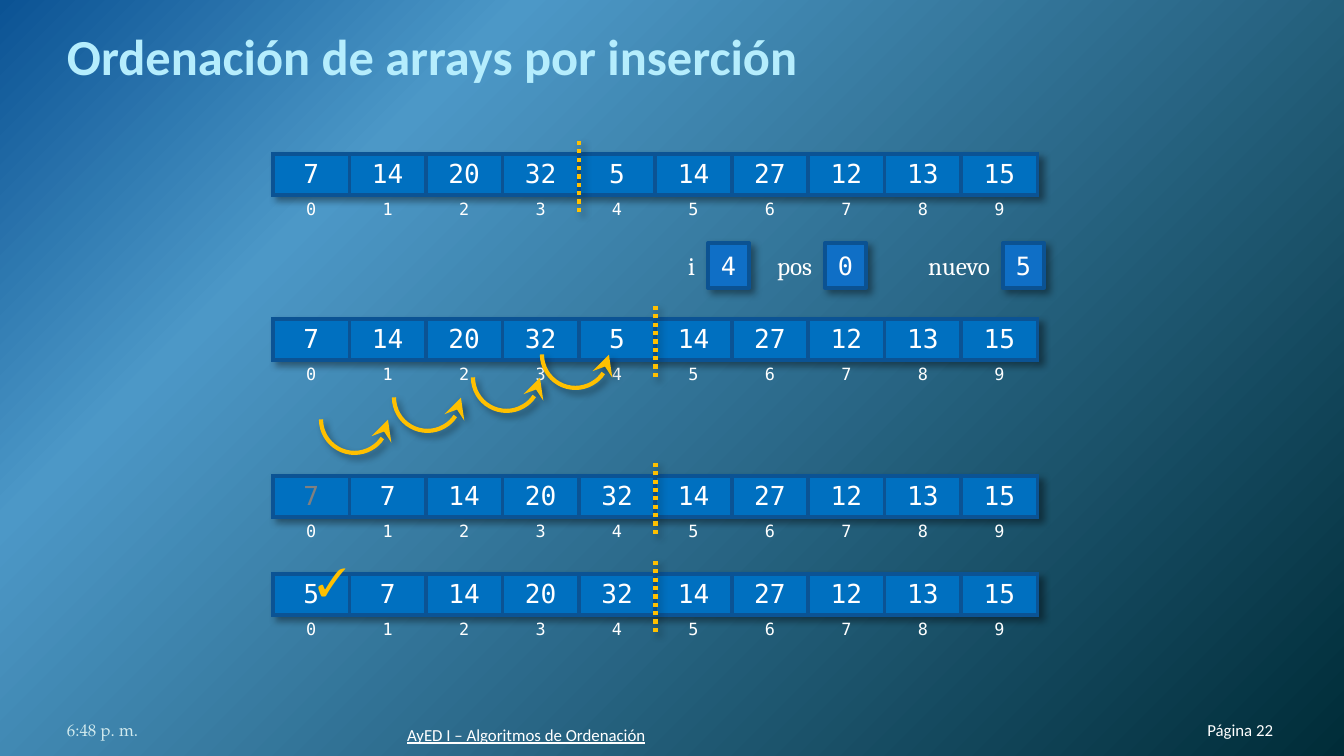
import dataclasses
import copy
import typing
import pptx
import pptx.dml.color
import pptx.enum.dml
import pptx.enum.shapes
import pptx.enum.text
import pptx.oxml
import pptx.oxml.ns
import pptx.util

Align = pptx.enum.text.PP_ALIGN
Anchor = pptx.enum.text.MSO_ANCHOR
Kind = pptx.enum.shapes.MSO_SHAPE
Box = tuple[int, int, int, int]


@dataclasses.dataclass(frozen=True)
class Theme:
    sans: str = "Calibri"
    serif: str = "Cambria"
    mono: str = "DejaVu Sans Mono"
    old: str = "TeX Gyre Pagella"
    white: str = "FFFFFF"
    title: str = "B5EDFD"
    date: str = "D1EAEE"
    gold: str = "FFC000"
    gray: str = "808080"
    cell: str = "0070C0"
    edge: str = "0B5394"
    box: str = "0F6FC6"
    rim: str = "0B5292"
    stops: tuple = ((0, "0B5394"), (0.25, "4C98C7"), (1, "002C38"))
    head: float = 27
    tick: float = 21
    value: float = 14
    name: float = 13.5
    small: float = 9
    rule: float = 2.25


@dataclasses.dataclass(frozen=True)
class Array:
    top: int
    split: int
    values: str
    stale: int = -1


@dataclasses.dataclass(frozen=True)
class Var:
    name: str
    value: str
    left: int
    width: int


@dataclasses.dataclass(frozen=True)
class Note:
    text: str
    box: Box
    font: str
    color: str
    align: typing.Any = Align.LEFT
    under: bool = False


T = Theme()
LEFT, WIDE, COUNT = 273, 765, 10
ROWS = (41, 32)
ARRAYS = (
    Array(154, 4, "7 14 20 32 5 14 27 12 13 15"),
    Array(319, 5, "7 14 20 32 5 14 27 12 13 15"),
    Array(476, 5, "7 7 14 20 32 14 27 12 13 15", 0),
    Array(574, 5, "5 7 14 20 32 14 27 12 13 15"),
)
VARS = (Var("nuevo", "5", 910, 93), Var("pos", "0", 759, 66), Var("i", "4", 675, 33))
ARCS = ((542, 321), (473, 344), (394, 364), (321, 386))
NOTES = (
    Note("Página 22", (1141, 700, 132, 40), T.sans, T.white, Align.RIGHT),
    Note("6:48 p. m.", (67, 700, 313, 40), T.old, T.date),
    Note("AyED I – Algoritmos de Ordenación", (407, 705, 508, 40), T.sans, T.white, under=True),
)


def px(n: float) -> int:
    return round(n * 914400 / 134.4)


def rgb(code: str) -> pptx.dml.color.RGBColor:
    return pptx.dml.color.RGBColor.from_string(code)


def xml(tag: str, attrs: str = "", inner: str = "") -> typing.Any:
    space = pptx.oxml.ns.nsdecls("a")
    return pptx.oxml.parse_xml(f"<a:{tag} {space} {attrs}>{inner}</a:{tag}>")


def shade() -> typing.Any:
    tint = '<a:srgbClr val="000000"><a:alpha val="40000"/></a:srgbClr>'
    return xml("effectLst", "", '<a:outerShdw blurRad="50800" dist="38100" dir="2700000" '
               f'algn="tl" rotWithShape="0">{tint}</a:outerShdw>')


def write(frame: typing.Any, text: str, font: str, size: float, color: str,
          align: typing.Any = Align.LEFT, bold: bool = False, under: bool = False) -> None:
    frame.text = text
    para = frame.paragraphs[0]
    para.alignment = align
    face = para.font
    face.name, face.size, face.bold = font, pptx.util.Pt(size), bold
    face.underline = under
    face.color.rgb = rgb(color)


def inset(frame: typing.Any, left: int, top: int, right: int, low: int) -> None:
    frame.margin_left, frame.margin_top = px(left), px(top)
    frame.margin_right, frame.margin_bottom = px(right), px(low)


def label(shapes: typing.Any, box: Box) -> typing.Any:
    frame = shapes.add_textbox(*map(px, box)).text_frame
    frame.word_wrap = True
    return frame


def stroke(line: typing.Any, color: str, width: float) -> None:
    line.color.rgb = rgb(color)
    line.width = pptx.util.Pt(width)


def border(cell: typing.Any, sides: str) -> None:
    props = cell._tc.get_or_add_tcPr()
    ink = f'<a:solidFill><a:srgbClr val="{T.edge}"/></a:solidFill>'
    for spot, side in enumerate(sides):
        props.insert(spot, xml(f"ln{side}", f'w="{pptx.util.Pt(T.rule)}"', ink))


def draw_array(shapes: typing.Any, item: Array) -> None:
    frame = shapes.add_table(2, COUNT, px(LEFT), px(item.top), px(WIDE), px(sum(ROWS)))
    table = frame.table
    props = table._tbl.tblPr
    props.find(pptx.oxml.ns.qn("a:tableStyleId")).text = "{2D5ABB26-0587-4C30-8999-92F81FD0307C}"
    props.insert(0, shade())
    for row, height in zip(table.rows, ROWS):
        row.height = px(height)
    for col, value in enumerate(item.values.split()):
        top, low = table.cell(0, col), table.cell(1, col)
        color = T.gray if col == item.stale else T.white
        write(top.text_frame, value, T.mono, T.value, color, Align.CENTER)
        write(low.text_frame, str(col), T.mono, T.small, T.white, Align.CENTER)
        for cell in (top, low):
            inset(cell, 10, 5, 10, 5)
        top.fill.solid()
        top.fill.fore_color.rgb = rgb(T.cell)
        low.fill.background()
        border(top, "LRTB")
        border(low, "T")
    x = px(LEFT + WIDE * item.split / COUNT)
    mark = shapes.add_connector(pptx.enum.shapes.MSO_CONNECTOR.STRAIGHT,
                                x, px(item.top + 58), x, px(item.top - 14))
    stroke(mark.line, T.gold, T.rule)
    mark.line.dash_style = pptx.enum.dml.MSO_LINE.ROUND_DOT
    mark.element.spPr.append(shade())


def draw_var(shapes: typing.Any, item: Var) -> None:
    group = shapes.add_group_shape().shapes
    box = group.add_shape(Kind.RECTANGLE, *map(px, (item.left + item.width, 243, 41, 45)))
    box.fill.solid()
    box.fill.fore_color.rgb = rgb(T.box)
    stroke(box.line, T.rim, 2)
    box.element.spPr.append(shade())
    frame = box.text_frame
    frame.word_wrap = False
    write(frame, item.value, T.mono, T.name, T.white, Align.CENTER)
    frame = label(group, (item.left, 243, item.width, 45))
    inset(frame, 0, 7, 13, 7)
    write(frame, item.name, T.serif, T.name, T.white, Align.RIGHT)


def draw_arc(shapes: typing.Any, left: int, top: int) -> None:
    arc = shapes.add_shape(Kind.ARC, *map(px, (left, top, 67, 67)))
    arc.adjustments[0], arc.adjustments[1] = 162, 53.776
    arc.rotation = 270
    arc.element.spPr.xfrm.set("flipH", "1")
    arc.fill.background()
    stroke(arc.line, T.gold, T.rule)
    arc.line._get_or_add_ln().append(xml("tailEnd", 'type="stealth" w="lg" len="lg"'))
    arc.element.spPr.append(shade())


def draw_note(shapes: typing.Any, item: Note) -> None:
    frame = label(shapes, item.box)
    inset(frame, 0, 0, 0, 0)
    frame.vertical_anchor = Anchor.BOTTOM
    write(frame, item.text, item.font, T.small, item.color, item.align, under=item.under)


def paint(slide: typing.Any) -> None:
    fill = slide.background.fill
    fill.gradient()
    fill.gradient_angle = 315
    first = next(slide.element.iter(pptx.oxml.ns.qn("a:gs")))
    first.addnext(copy.deepcopy(first))
    for stop, (place, color) in zip(fill.gradient_stops, T.stops):
        stop.position = place
        stop.color.rgb = rgb(color)


def main() -> None:
    deck = pptx.Presentation()
    deck.slide_width, deck.slide_height = px(1344), px(756)
    slide = deck.slides.add_slide(deck.slide_layouts[5])
    paint(slide)
    shapes = slide.shapes
    title = shapes.title
    title.left, title.top, title.width, title.height = map(px, (67, 31, 1210, 55))
    frame = title.text_frame
    frame.auto_size = pptx.enum.text.MSO_AUTO_SIZE.NONE
    frame.vertical_anchor = Anchor.BOTTOM
    inset(frame, 0, 7, 0, 0)
    write(frame, "Ordenación de arrays por inserción", T.sans, T.head, T.title, bold=True)
    for item in ARRAYS:
        draw_array(shapes, item)
    write(label(shapes, (304, 551, 58, 60)), "✓", T.serif, T.tick, T.gold, bold=True)
    for item in VARS:
        draw_var(shapes, item)
    for left, top in ARCS:
        draw_arc(shapes, left, top)
    for item in NOTES:
        draw_note(shapes, item)
    deck.save("out.pptx")


main()
